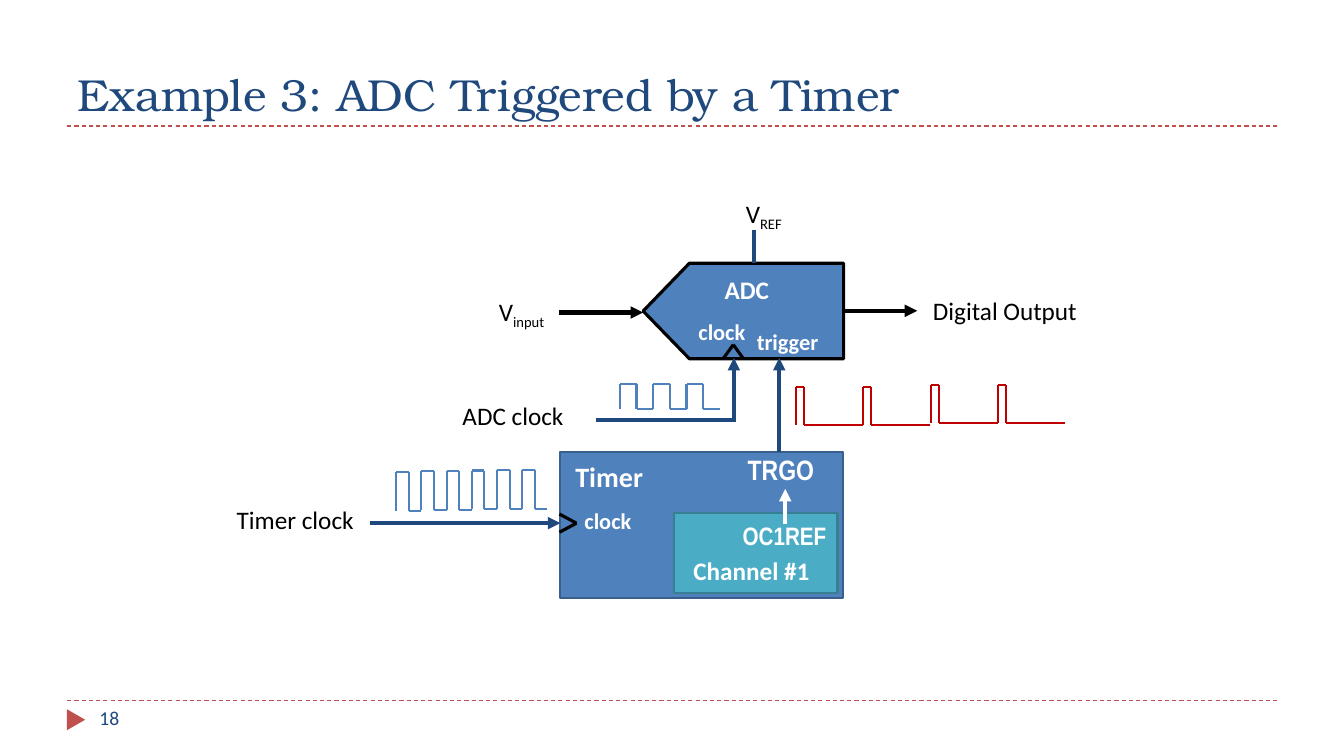
import pptx
import pptx.dml.color
import pptx.enum.dml
import pptx.enum.shapes
import pptx.enum.text
import pptx.oxml.xmlchemy
import pptx.util

Pt = pptx.util.Pt
COLORS = {
    "navy": "1F497D", "blue": "4F81BD", "blue_edge": "3A5F8C",
    "teal": "4BACC6", "teal_edge": "377F92", "red": "C0504D",
    "signal_red": "C00000", "black": "000000", "white": "FFFFFF",
}


def rgb(name):
    return pptx.dml.color.RGBColor.from_string(COLORS[name])


class Diagram:
    """Draws styled elements on one slide; all lengths are points."""

    def __init__(self, slide, font):
        self.slide = slide
        self.font = font

    def style_run(self, run, size, color, bold=False, font=None):
        run.font.name = font or self.font
        run.font.size = Pt(size)
        run.font.bold = bold
        run.font.color.rgb = rgb(color)

    def title(self, text, left, top, width, height):
        shape = self.slide.shapes.title
        shape.left, shape.top = Pt(left), Pt(top)
        shape.width, shape.height = Pt(width), Pt(height)
        frame = shape.text_frame
        frame.vertical_anchor = pptx.enum.text.MSO_ANCHOR.BOTTOM
        paragraph = frame.paragraphs[0]
        paragraph.alignment = pptx.enum.text.PP_ALIGN.LEFT
        run = paragraph.add_run()
        run.text = text
        self.style_run(run, 32, "navy", font="TeX Gyre Bonum")

    def label(self, text, left, top, width, height=28.8, size=18, color="black",
              bold=False, font=None, subscript=None, centered=False):
        box = self.slide.shapes.add_textbox(Pt(left), Pt(top), Pt(width), Pt(height))
        frame = box.text_frame
        frame.word_wrap = centered
        paragraph = frame.paragraphs[0]
        if centered:
            paragraph.alignment = pptx.enum.text.PP_ALIGN.CENTER
        run = paragraph.add_run()
        run.text = text
        self.style_run(run, size, color, bold, font)
        if subscript:
            run = paragraph.add_run()
            run.text = subscript
            self.style_run(run, size, color, bold, font)
            run._r.get_or_add_rPr().set("baseline", "-25000")

    def line(self, x1, y1, x2, y2, color, width, arrow=False, dashed=False):
        """Draw a straight line; an arrowhead goes at the second point."""
        connector = self.slide.shapes.add_connector(
            pptx.enum.shapes.MSO_CONNECTOR.STRAIGHT, Pt(x1), Pt(y1), Pt(x2), Pt(y2))
        connector.line.color.rgb = rgb(color)
        connector.line.width = Pt(width)
        if dashed:
            connector.line.dash_style = pptx.enum.dml.MSO_LINE.DASH
        if arrow:
            tail = pptx.oxml.xmlchemy.OxmlElement("a:tailEnd")
            tail.set("type", "triangle")
            connector.line._get_or_add_ln().append(tail)
        properties = connector._element.spPr
        properties.append(pptx.oxml.xmlchemy.OxmlElement("a:effectLst"))

    def paint(self, shape, fill, edge=None, width=1.5):
        shape.shadow.inherit = False
        shape.fill.solid()
        shape.fill.fore_color.rgb = rgb(fill)
        if edge:
            shape.line.color.rgb = rgb(edge)
            shape.line.width = Pt(width)
        else:
            shape.line.fill.background()

    def block(self, left, top, width, height, fill, edge=None, kind="RECTANGLE",
              rotation=0):
        shape = self.slide.shapes.add_shape(
            pptx.enum.shapes.MSO_SHAPE[kind], Pt(left), Pt(top), Pt(width), Pt(height))
        shape.rotation = rotation
        self.paint(shape, fill, edge)

    def polygon(self, points, fill, edge, width):
        corners = [(Pt(x), Pt(y)) for x, y in points]
        builder = self.slide.shapes.build_freeform(*corners[0])
        builder.add_line_segments(corners[1:], close=True)
        self.paint(builder.convert_to_shape(), fill, edge, width)

    def pulses(self, left, top, height, high, low, count, color, drift=0):
        """Draw a pulse train; drift is the vertical shift from pulse to pulse."""
        for index in range(count):
            start = left + index * (high + low)
            end = start + high
            crest = top + index * drift
            base = crest + height
            self.line(start, crest, end, crest, color, 1.5)
            self.line(end, crest, end, base, color, 1.5)
            self.line(start, crest, start, base, color, 1.5)
            self.line(end, base, end + low, base, color, 1.5)


def main():
    presentation = pptx.Presentation()
    presentation.slide_width, presentation.slide_height = Pt(960), Pt(540)
    slide = presentation.slides.add_slide(presentation.slide_layouts[5])
    diagram = Diagram(slide, "Calibri")

    # Frame of the slide
    for y in (500.4, 90):
        diagram.line(48, y, 912, y, "red", 0.75, dashed=True)
    diagram.block(46.8, 507.6, 15, 13, "red", kind="ISOSCELES_TRIANGLE", rotation=90)
    diagram.title("Example 3: ADC Triggered by a Timer", 48, 12.2, 864, 77.8)
    diagram.label("18", 64, 500.4, 208, size=14, color="navy")

    # ADC with its input, output and reference
    diagram.line(399.6, 223.2, 459.4, 223.2, "black", 3, arrow=True)
    diagram.line(602.6, 222, 655.2, 222, "black", 3, arrow=True)
    diagram.polygon([(602.6, 188), (602.6, 256.3), (492.5, 256.3), (459.4, 222.2),
                     (492.5, 188)], "blue", "black", 2.25)
    diagram.line(538.6, 164.2, 538.6, 188, "navy", 3)
    diagram.label("V", 525.6, 138.2, 44.6, subscript="REF")
    diagram.label("V", 349.2, 208.1, 50.4, subscript="input")
    diagram.label("Digital Output", 655.2, 207.4, 125.3, centered=True)
    diagram.label("ADC", 510.5, 192.2, 56.9, color="white", bold=True)
    diagram.label("clock", 491.8, 223.9, 54, 26.6, 16, "white", True)
    diagram.label("trigger", 533.5, 231.1, 66.2, 26.6, 16, "white", True)
    for x in (517, 530.6):
        diagram.line(x, 255.6, 523.8, 246.2, "black", 2.25)

    # ADC clock
    diagram.label("ADC clock", 323.3, 282.2, 96.5)
    diagram.line(425.5, 300.2, 525.6, 300.2, "navy", 3)
    diagram.line(524.2, 299.5, 524.2, 255.6, "navy", 3, arrow=True)
    diagram.pulses(442.8, 274.3, 17.6, 11.9, 11.9, 3, "blue")

    # Timer with its clock
    diagram.block(400.3, 322.6, 201.6, 104.4, "blue", "blue_edge")
    diagram.label("Timer", 403.9, 324.7, 74.2, 31.7, 20, "white", True)
    diagram.label("TRGO", 527, 319.7, 62.6, 31.7, 20, "white", True, "Arial Narrow")
    diagram.label("clock", 410.4, 358.6, 54, 26.6, 16, "white", True)
    for y in (367.2, 380.2):
        diagram.line(399.6, y, 411.8, 373.7, "black", 2.25)
    diagram.label("Timer clock", 162, 356.4, 103)
    diagram.line(264.2, 373.7, 400.3, 373.7, "navy", 3, arrow=True)
    diagram.pulses(283, 337, 27.8, 9, 9, 6, "blue", drift=-0.3)

    # Trigger from the timer channel
    diagram.line(556.6, 322.6, 556.6, 255.6, "navy", 3, arrow=True)
    for left, top in ((568.8, 276.5), (665.1, 275.2)):
        diagram.pulses(left, top, 27, 5.8, 42, 2, "signal_red")
    diagram.block(481.7, 366.5, 116.6, 56.9, "teal", "teal_edge")
    diagram.label("Channel #1", 488.2, 393.1, 110.2, color="white", bold=True)
    diagram.label("OC1REF", 523.4, 367.9, 74.9, color="white", bold=True,
                  font="Arial Narrow")
    diagram.line(560.9, 374.4, 560.9, 349.2, "white", 3, arrow=True)

    presentation.save("out.pptx")


if __name__ == "__main__":
    main()
